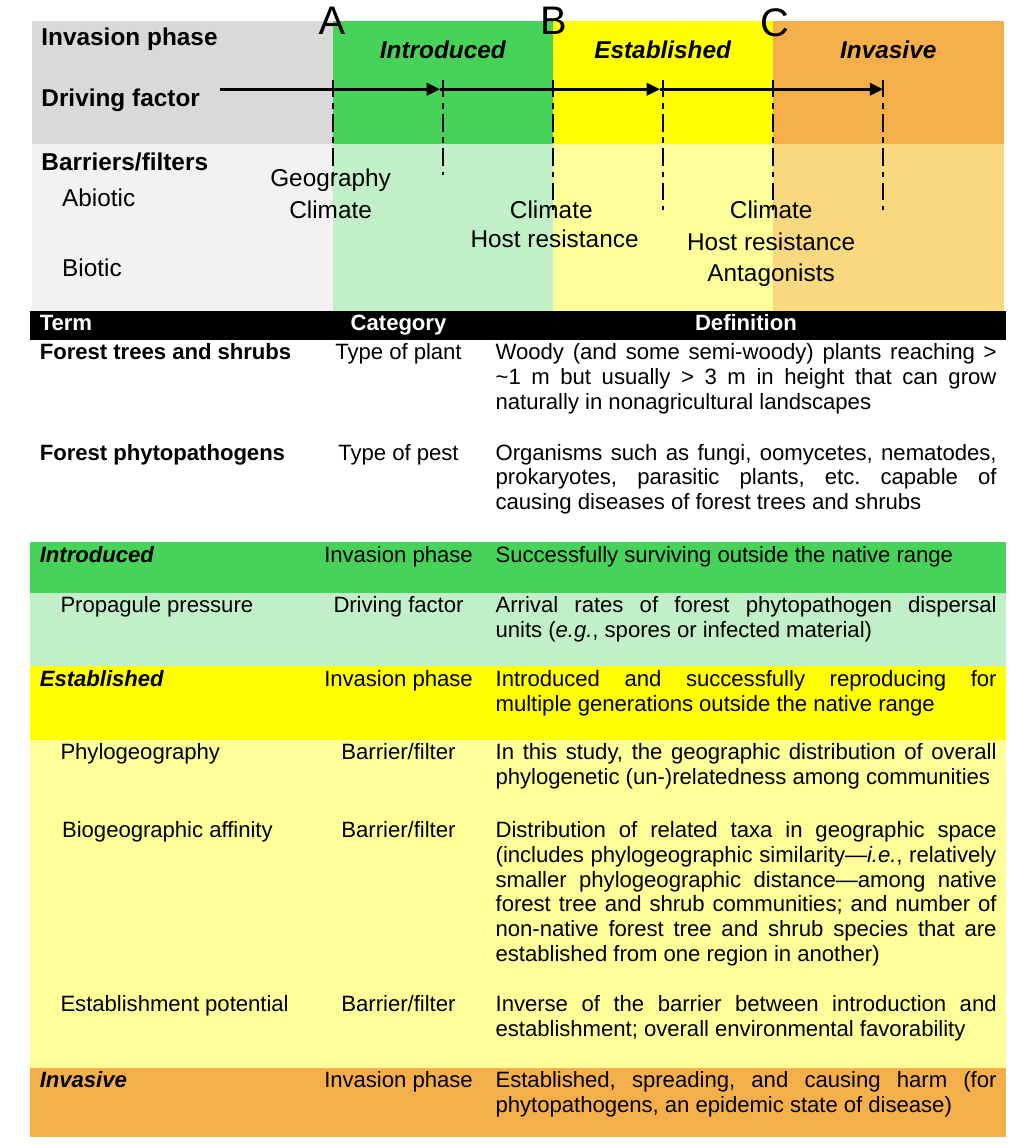
from itertools import pairwise, product
from lxml.etree import SubElement
from pptx import Presentation
from pptx.dml.color import RGBColor
from pptx.enum.shapes import MSO_CONNECTOR
from pptx.enum.text import MSO_ANCHOR, PP_ALIGN
from pptx.oxml import parse_xml
from pptx.oxml.ns import nsdecls, qn
from pptx.util import Inches, Pt

BLACK = RGBColor(0x00, 0x00, 0x00)
WHITE = RGBColor(0xFF, 0xFF, 0xFF)
GRAY = RGBColor(0xD9, 0xD9, 0xD9)
PALE = RGBColor(0xF2, 0xF2, 0xF2)
GREEN = RGBColor(0x47, 0xD3, 0x59)
MINT = RGBColor(0xC1, 0xF0, 0xC8)
YELLOW = RGBColor(0xFF, 0xFF, 0x00)
CREAM = RGBColor(0xFF, 0xFF, 0x99)
ORANGE = RGBColor(0xF4, 0xAF, 0x4A)
SAND = RGBColor(0xF8, 0xD9, 0x80)
LEFT, CENTER, FULL = PP_ALIGN.LEFT, PP_ALIGN.CENTER, PP_ALIGN.JUSTIFY
PLAIN = "{2D5ABB26-0587-4C30-8999-92F81FD0307C}"


class Sheet:
    font = "Arial"

    def __init__(self, slide):
        self.shapes = slide.shapes

    def label(self, para, text, size, color=BLACK, bold=False, italic=False):
        font = para.font
        font.name, font.size, font.bold = self.font, Pt(size), bold
        font.color.rgb = color
        parts = text.split("*")
        if len(parts) == 1:
            font.italic = italic
        for index, part in enumerate(parts):
            run = para.add_run()
            run.text = part
            if len(parts) > 1:
                run.font.italic = index % 2 == 1

    def grid(self, left, top, cols, rows):
        frame = self.shapes.add_table(
            len(rows), len(cols), Inches(left), Inches(top),
            Inches(sum(cols)), Inches(sum(rows)))
        table = frame.table
        table.first_row = table.horz_banding = False
        table._tbl.tblPr.find(qn("a:tableStyleId")).text = PLAIN
        for col, width in zip(table.columns, cols):
            col.width = Inches(width)
        for row, height in zip(table.rows, rows):
            row.height = Inches(height)
        for cell in table.iter_cells():
            cell.margin_left = cell.margin_right = 0
            cell.margin_top = cell.margin_bottom = 0
        return table

    def paint(self, cell, color):
        cell.fill.solid()
        cell.fill.fore_color.rgb = color

    def put(self, cell, text, align=LEFT, indent=0, size=11,
            anchor=MSO_ANCHOR.MIDDLE, **style):
        cell.vertical_anchor = anchor
        para = cell.text_frame.paragraphs[0]
        para.alignment = align
        if indent:
            para._p.get_or_add_pPr().set("marL", str(Inches(indent)))
        self.label(para, text, size, **style)
        return para

    def shrink(self, table):
        for cell in table.iter_cells():
            if not cell.text:
                para = cell.text_frame.paragraphs[0]._p
                SubElement(para, qn("a:endParaRPr")).set("sz", "100")

    def edge(self, cell, side):
        border = parse_xml(
            f'<a:ln{side} {nsdecls("a")} w="12700"><a:solidFill>'
            f'<a:srgbClr val="{BLACK}"/></a:solidFill>'
            f'<a:prstDash val="dashDot"/></a:ln{side}>')
        cell._tc.get_or_add_tcPr().insert(0, border)

    def arrow(self, start, end, level):
        line = self.shapes.add_connector(
            MSO_CONNECTOR.STRAIGHT, Inches(start), Inches(level),
            Inches(end), Inches(level))
        line.line.color.rgb = BLACK
        line.line.width = Pt(1.5)
        SubElement(line.line._get_or_add_ln(), qn("a:tailEnd")).set("type", "triangle")
        SubElement(line._element.spPr, qn("a:effectLst"))

    def letter(self, text, left, top):
        box = self.shapes.add_textbox(
            Inches(left), Inches(top), Inches(0.21), Inches(0.4))
        box.text_frame.word_wrap = True
        self.label(box.text_frame.paragraphs[0], text, 18)


def draw_phases(sheet):
    rows = [0.2, 0.17, 0.2, 0.2, 0.2, 0.03, 0.19, 0.03, 0.2, 0.03, 0.2, 0.03, 0.2]
    table = sheet.grid(0.2, 0.13, [1.19, 0.7] + [0.69] * 5 + [0.76], rows)
    dark = [GRAY, GREEN, YELLOW, ORANGE]
    light = [PALE, MINT, CREAM, SAND]
    for row, col in product(range(len(rows)), range(8)):
        tones = dark if row < 4 else light
        sheet.paint(table.cell(row, col), tones[col // 2])
    for first, last in [(1, 3), (4, 5), (6, 7), (8, 9), (11, 12)]:
        table.cell(first, 0).merge(table.cell(last, 0))
    table.cell(0, 1).merge(table.cell(1, 1))
    for col in (2, 4, 6):
        table.cell(0, col).merge(table.cell(1, col + 1))
    for col, (first, last) in product(range(1, 8), [(5, 6), (7, 8), (9, 11)]):
        table.cell(first, col).merge(table.cell(last, col))
    for col, stop in [(2, 5), (4, 7), (6, 7)]:
        for row in range(2, stop):
            sheet.edge(table.cell(row, col - 1), "R")
            sheet.edge(table.cell(row, col), "L")
    for row, text in [(0, "Invasion phase"), (1, "Driving factor"), (4, "Barriers/filters")]:
        sheet.put(table.cell(row, 0), text, indent=0.06, bold=True)
    for row, text in [(6, "Abiotic"), (10, "Biotic")]:
        sheet.put(table.cell(row, 0), text, indent=0.19)
    for col, text in [(2, "Introduced"), (4, "Established"), (6, "Invasive")]:
        sheet.put(table.cell(0, col), text, CENTER, bold=True, italic=True)
    sheet.shrink(table)


def draw_filters(sheet):
    table = sheet.grid(1.38, 1, [0.7, 0.69, 0.69, 0.69, 1.38], [0.2] * 4)
    for row, col in [(0, 0), (0, 2), (1, 0), (1, 2), (2, 2)]:
        table.cell(row, col).merge(table.cell(row, col + 1))
    low, mid = MSO_ANCHOR.BOTTOM, MSO_ANCHOR.MIDDLE
    for row, col, text, anchor in [
            (0, 0, "Geography", low), (1, 0, "Climate", low),
            (1, 2, "Climate", low), (2, 2, " Host resistance", mid),
            (1, 4, "Climate", low), (2, 4, "Host resistance", low),
            (3, 4, "Antagonists", low)]:
        sheet.put(table.cell(row, col), text, CENTER, anchor=anchor)
    sheet.shrink(table)


TERMS = [
    ("Term", "Category", "Definition", BLACK),
    ("Forest trees and shrubs", "Type of plant", "Woody (and some semi-woody) plants reaching > ~1 m but usually > 3 m in height that can grow naturally in nonagricultural landscapes", WHITE),
    ("Forest phytopathogens", "Type of pest", "Organisms such as fungi, oomycetes, nematodes, prokaryotes, parasitic plants, etc. capable of causing diseases of forest trees and shrubs", WHITE),
    ("Introduced", "Invasion phase", "Successfully surviving outside the native range", GREEN),
    ("Propagule pressure", "Driving factor", "Arrival rates of forest phytopathogen dispersal units (*e.g.*, spores or infected material)", MINT),
    ("Established", "Invasion phase", "Introduced and successfully reproducing for multiple generations outside the native range", YELLOW),
    ("Phylogeography", "Barrier/filter", "In this study, the geographic distribution of overall phylogenetic (un-)relatedness among communities", CREAM),
    ("Biogeographic affinity", "Barrier/filter", "Distribution of related taxa in geographic space (includes phylogeographic similarity—*i.e.*, relatively smaller phylogeographic distance—among native forest tree and shrub communities; and number of non-native forest tree and shrub species that are established from one region in another)", CREAM),
    ("Establishment potential", "Barrier/filter", "Inverse of the barrier between introduction and establishment; overall environmental favorability", CREAM),
    ("Invasive", "Invasion phase", "Established, spreading, and causing harm (for phytopathogens, an epidemic state of disease)", ORANGE),
]


def draw_terms(sheet):
    table = sheet.grid(0.19, 1.95, [1.76, 1.1, 3.26],
                       [0.18, 0.63, 0.64, 0.32, 0.46, 0.46, 0.49, 1.09, 0.48, 0.43])
    for row, (*texts, tone) in enumerate(TERMS):
        head = row == 0
        minor = tone in (MINT, CREAM)
        phase = tone in (GREEN, YELLOW, ORANGE)
        aligns = (LEFT, CENTER, CENTER if head else FULL)
        for col, (text, align) in enumerate(zip(texts, aligns)):
            cell = table.cell(row, col)
            cell.margin_left = cell.margin_right = Inches(0.06)
            sheet.paint(cell, tone)
            first = col == 0
            para = sheet.put(
                cell, text, align, 0.13 if first and minor else 0, 10,
                MSO_ANCHOR.TOP, color=WHITE if head else BLACK,
                bold=head or first and not minor, italic=first and phase)
            para.space_after = Pt(6)
            if text == "Biogeographic affinity":
                para._p.pPr.set("indent", str(Inches(0.01)))


def main():
    deck = Presentation()
    deck.slide_width, deck.slide_height = Inches(6.5), Inches(7.2)
    sheet = Sheet(deck.slides.add_slide(deck.slide_layouts[6]))
    draw_phases(sheet)
    for start, end in pairwise([1.38, 2.76, 4.14, 5.54]):
        sheet.arrow(start, end, 0.56)
    draw_filters(sheet)
    draw_terms(sheet)
    for text, left, top in [("A", 1.9, -0.08), ("B", 3.29, -0.08), ("C", 4.67, -0.07)]:
        sheet.letter(text, left, top)
    deck.save("out.pptx")


if __name__ == "__main__":
    main()
